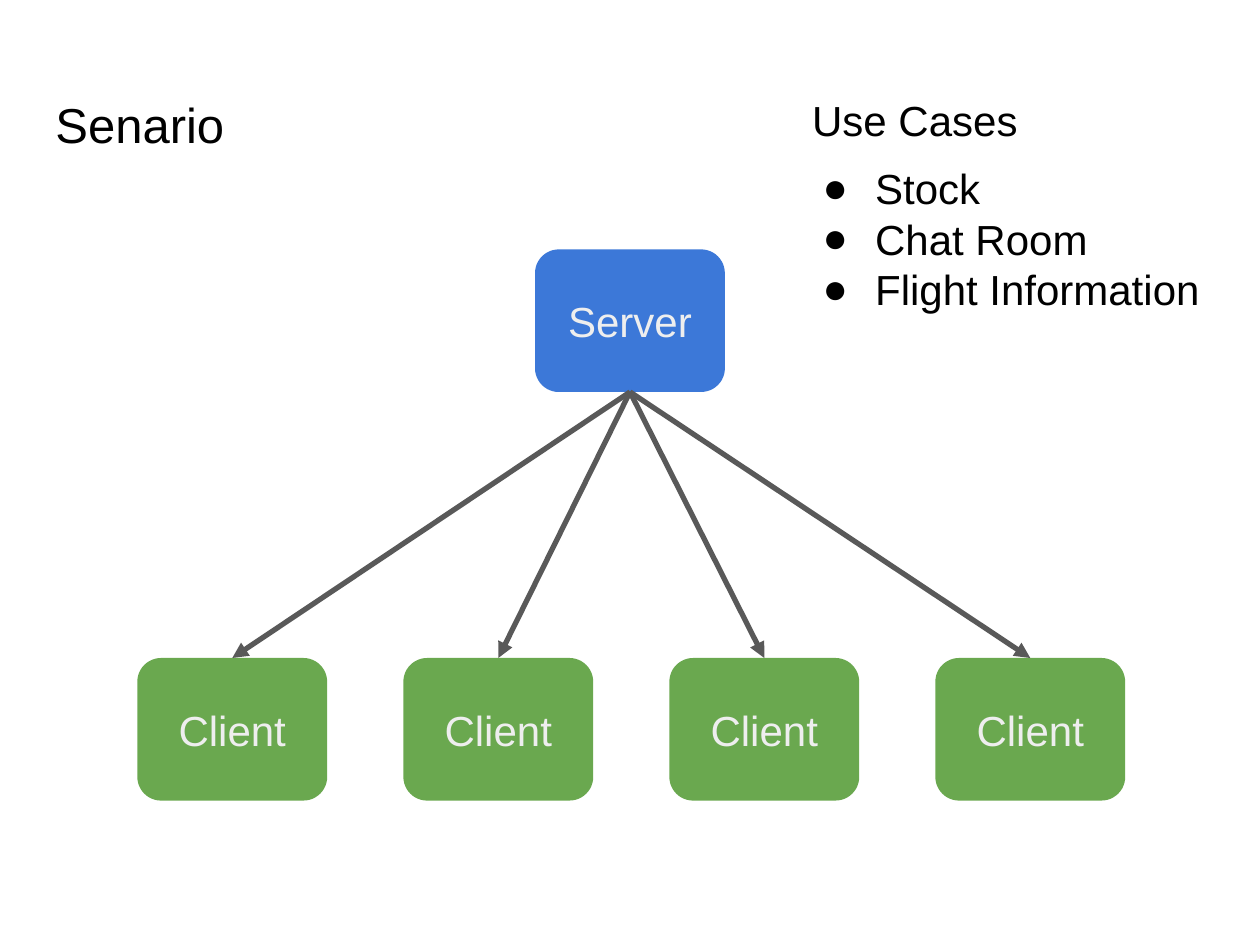
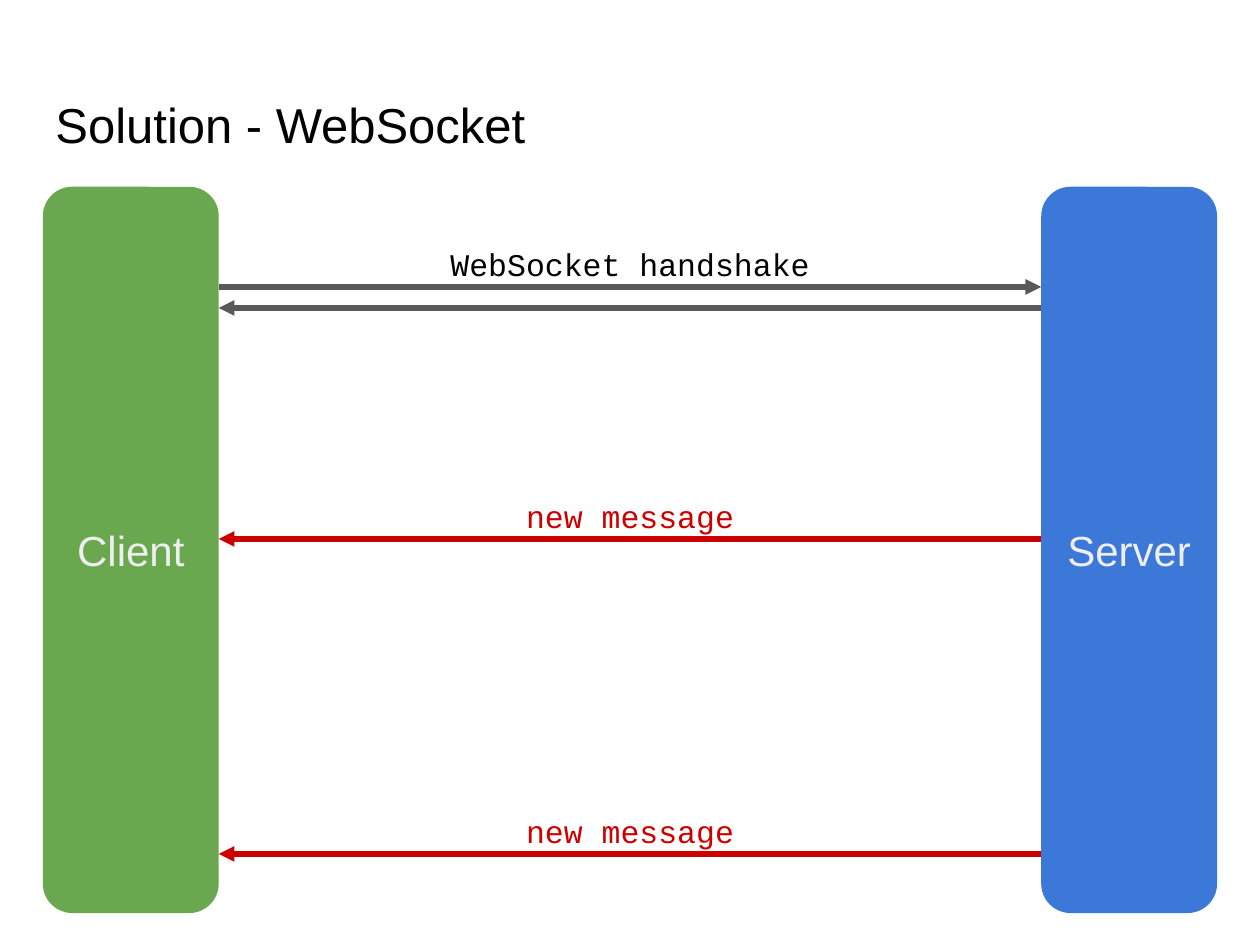
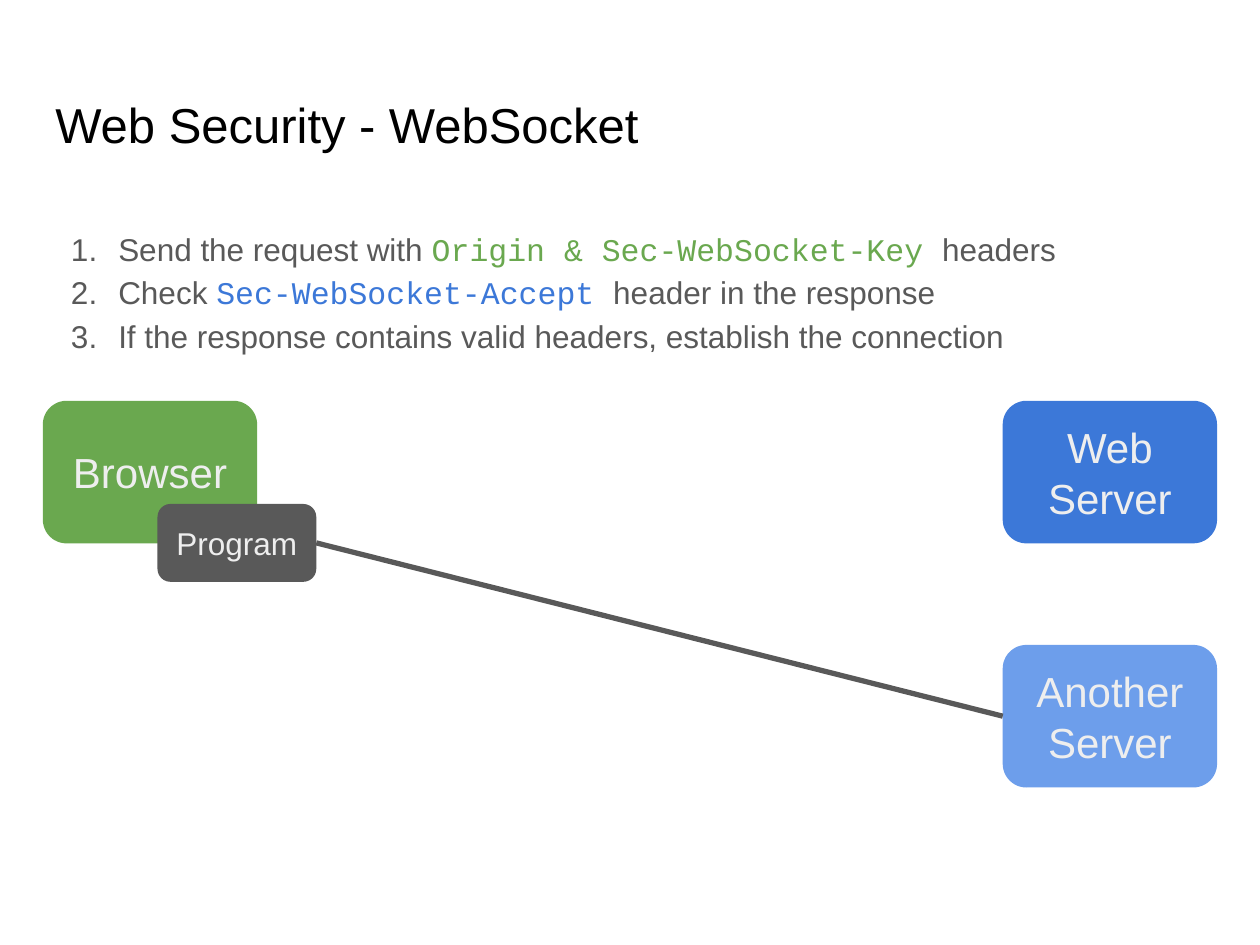
import pptx
import pptx.util
import pptx.dml.color
import pptx.enum.shapes
import pptx.enum.text
import pptx.oxml

Pt = pptx.util.Pt
RGBColor = pptx.dml.color.RGBColor
Align = pptx.enum.text.PP_ALIGN
Anchor = pptx.enum.text.MSO_ANCHOR

BLACK = RGBColor(0x00, 0x00, 0x00)
PALE = RGBColor(0xEE, 0xEE, 0xEE)
GRAY = RGBColor(0x59, 0x59, 0x59)
GREEN = RGBColor(0x6A, 0xA8, 0x4F)
BLUE = RGBColor(0x3C, 0x78, 0xD8)
SKY = RGBColor(0x6D, 0x9E, 0xEB)
RED = RGBColor(0xCC, 0x00, 0x00)

SANS = "Arial"
MONO = "Courier New"
WIDTH, HEIGHT = 720, 540
EDGE = 24.5
SPAN = WIDTH - 2 * EDGE
BOX_H = 81.5
TOP, LEFT, BASE, RIGHT = range(4)


def add_xml(parent, tag, **attrs):
    node = pptx.oxml.parse_xml(
        f'<a:{tag} xmlns:a="http://schemas.openxmlformats.org/drawingml/2006/main"/>')
    for name, value in attrs.items():
        node.set(name, str(value))
    parent.append(node)
    return node


def set_font(font, size, color, face=SANS):
    font.name = face
    font.size = Pt(size)
    font.color.rgb = color


def set_frame(shape, anchor):
    frame = shape.text_frame
    frame.word_wrap = True
    frame.auto_size = pptx.enum.text.MSO_AUTO_SIZE.NONE
    frame.vertical_anchor = anchor
    frame.margin_left = frame.margin_right = Pt(7.2)
    frame.margin_top = frame.margin_bottom = Pt(7.2)
    return frame


def write(frame, text, size, color, face=SANS, align=Align.CENTER):
    para = frame.paragraphs[0]
    para.text = text
    para.alignment = align
    set_font(para.font, size, color, face)


def set_item(para, hang, color, tag, **attrs):
    props = para._p.get_or_add_pPr()
    props.set("marL", str(Pt(36)))
    props.set("indent", str(-Pt(hang)))
    add_xml(add_xml(props, "buClr"), "srgbClr", val=color)
    add_xml(props, "buFont", typeface=SANS)
    add_xml(props, tag, **attrs)


def add_page(deck, text):
    slide = deck.slides.add_slide(deck.slide_layouts[5])
    title = slide.shapes.title
    title.left, title.top = Pt(EDGE), Pt(47)
    title.width, title.height = Pt(SPAN), Pt(60)
    write(set_frame(title, Anchor.TOP), text, 28, BLACK, align=Align.LEFT)
    return slide


def add_area(slide, x, y, w, h, anchor=Anchor.TOP):
    area = slide.shapes.add_textbox(Pt(x), Pt(y), Pt(w), Pt(h))
    return set_frame(area, anchor)


def add_box(slide, text, x, y, w, h, fill, size=24):
    kind = pptx.enum.shapes.MSO_SHAPE.ROUNDED_RECTANGLE
    box = slide.shapes.add_shape(kind, Pt(x), Pt(y), Pt(w), Pt(h))
    box.shadow.inherit = False
    box.fill.solid()
    box.fill.fore_color.rgb = fill
    box.line.fill.background()
    write(set_frame(box, Anchor.MIDDLE), text, size, PALE)
    return box


def add_line(slide, x1, y1, x2, y2, color=GRAY, arrow=True):
    kind = pptx.enum.shapes.MSO_CONNECTOR.STRAIGHT
    line = slide.shapes.add_connector(kind, Pt(x1), Pt(y1), Pt(x2), Pt(y2))
    line.line.color.rgb = color
    line.line.width = Pt(3)
    if arrow:
        add_xml(line.line._get_or_add_ln(), "tailEnd", type="triangle")
    add_xml(line._element.spPr, "effectLst")
    return line


def join(slide, start, out, end, into, arrow=True):
    line = add_line(slide, 0, 0, 0, 0, arrow=arrow)
    line.begin_connect(start, out)
    line.end_connect(end, into)


def add_label(slide, text, y, color):
    frame = add_area(slide, 228, y - 26.5, 264, 26.5, Anchor.MIDDLE)
    write(frame, text, 18, color, MONO)


def add_cases(slide):
    frame = add_area(slide, 457, 47, 245, 175)
    write(frame, "Use Cases", 24, BLACK, align=Align.LEFT)
    for i, text in enumerate(["Stock", "Chat Room", "Flight Information"]):
        para = frame.add_paragraph()
        para.text = text
        set_item(para, 30, BLACK, "buChar", char="●")
        if i == 0:
            para.space_before = Pt(10)
        set_font(para.font, 24, BLACK)


def add_steps(slide, steps):
    frame = add_area(slide, EDGE, 121, SPAN, 358.5)
    for i, step in enumerate(steps):
        para = frame.add_paragraph() if i else frame.paragraphs[0]
        set_item(para, 27, GRAY, "buAutoNum", type="arabicPeriod")
        para.line_spacing = 1.15
        for text, color, face in step:
            run = para.add_run()
            run.text = text
            set_font(run.font, 18, color, face)


def draw_case(deck):
    slide = add_page(deck, "Senario")
    wide, step = 108.5, 152
    server = add_box(slide, "Server", (WIDTH - wide) / 2, 142.5, wide, BOX_H, BLUE)
    for i in range(4):
        client = add_box(slide, "Client", 78.5 + i * step, 376, wide, BOX_H, GREEN)
        join(slide, server, BASE, client, TOP)
    add_cases(slide)


def draw_flow(deck):
    slide = add_page(deck, "Solution - WebSocket")
    wide, y, h = 100.5, 106.75, 415
    near, far = EDGE + wide, WIDTH - EDGE - wide
    add_box(slide, "Client", EDGE, y, wide, h, GREEN)
    add_box(slide, "Server", far, y, wide, h, BLUE)
    add_line(slide, near, 164, far, 164)
    add_line(slide, far, 176, near, 176)
    add_label(slide, "WebSocket handshake", 164, BLACK)
    for level in (308, 488):
        add_line(slide, far, level, near, level, RED)
        add_label(slide, "new message", level, RED)


def draw_guard(deck):
    slide = add_page(deck, "Web Security - WebSocket")
    add_steps(slide, [
        [("Send the request with ", GRAY, SANS),
         ("Origin & Sec-WebSocket-Key ", GREEN, MONO),
         ("headers", GRAY, SANS)],
        [("Check ", GRAY, SANS),
         ("Sec-WebSocket-Accept ", BLUE, MONO),
         ("header in the response", GRAY, SANS)],
        [("If the response contains valid headers, establish the connection",
          GRAY, SANS)],
    ])
    wide, y = 122.5, 229
    far = WIDTH - EDGE - wide
    add_box(slide, "Web Server", far, y, wide, BOX_H, BLUE)
    add_box(slide, "Browser", EDGE, y, wide, BOX_H, GREEN)
    agent = add_box(slide, "Program", 90, 288, 90.75, 44.5, GRAY, 18)
    other = add_box(slide, "Another Server", far, 368.5, wide, BOX_H, SKY)
    join(slide, agent, RIGHT, other, LEFT, arrow=False)


def main():
    deck = pptx.Presentation()
    deck.slide_width, deck.slide_height = Pt(WIDTH), Pt(HEIGHT)
    draw_case(deck)
    draw_flow(deck)
    draw_guard(deck)
    deck.save("out.pptx")


if __name__ == "__main__":
    main()
